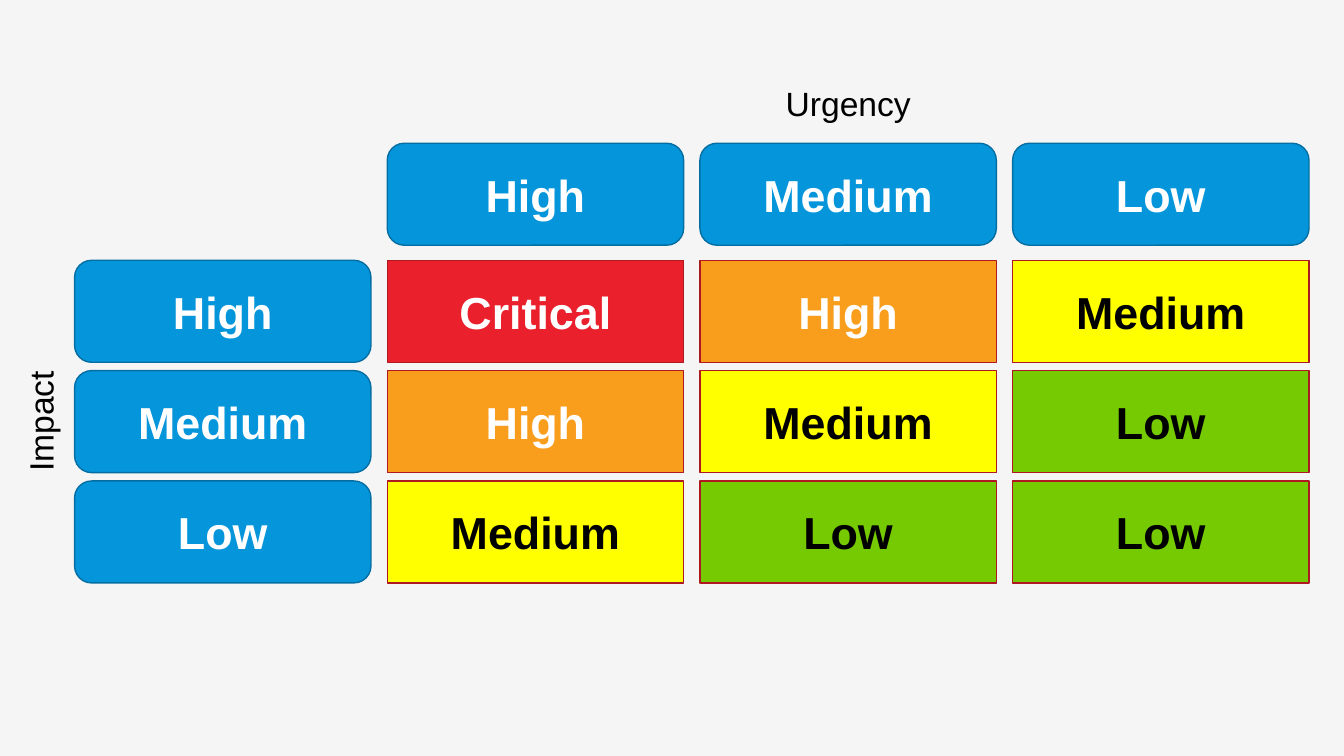
from pptx import Presentation
from pptx.dml.color import RGBColor
from pptx.enum.shapes import MSO_SHAPE
from pptx.enum.text import MSO_ANCHOR, PP_ALIGN
from pptx.util import Cm, Pt

COLORS = {
    "background": "F5F5F5",
    "header": "0595DB",
    "header_line": "046EA2",
    "cell_line": "AD1821",
    "white": "FFFFFF",
    "black": "000000",
}
# Priority: fill, text colour
PRIORITIES = {
    "Critical": ("EA202D", COLORS["white"]),
    "High": ("F99D1D", COLORS["white"]),
    "Medium": ("FFFF00", COLORS["black"]),
    "Low": ("76CA02", COLORS["black"]),
}
LEVELS = ["High", "Medium", "Low"]
MATRIX = [
    ["Critical", "High", "Medium"],
    ["High", "Medium", "Low"],
    ["Medium", "Low", "Low"],
]

# Grid, in cm
LEFT, COL_STEP = 1.88, 7.88
HEADER_TOP, ROWS_TOP, ROW_STEP = 3.61, 6.56, 2.78
BOX_W, BOX_H = 7.47, 2.57


class MatrixSlide:
    """Holds the slide and the style of the priority matrix."""

    font = "Arial"

    def __init__(self, prs):
        self.slide = prs.slides.add_slide(prs.slide_layouts[6])
        fill = self.slide.background.fill
        fill.solid()
        fill.fore_color.rgb = RGBColor.from_string(COLORS["background"])

    def set_text(self, sp, text, size, color, bold=False):
        tf = sp.text_frame
        tf.word_wrap = True
        p = tf.paragraphs[0]
        p.text = text
        p.alignment = PP_ALIGN.CENTER
        font = p.runs[0].font
        font.name, font.size, font.bold = self.font, Pt(size), bold
        font.color.rgb = RGBColor.from_string(color)

    def box(self, kind, col, top, text, fill, line, color):
        sp = self.slide.shapes.add_shape(
            kind, Cm(LEFT + col * COL_STEP), Cm(top), Cm(BOX_W), Cm(BOX_H))
        sp.shadow.inherit = False
        sp.fill.solid()
        sp.fill.fore_color.rgb = RGBColor.from_string(fill)
        sp.line.color.rgb = RGBColor.from_string(line)
        sp.line.width = Pt(1)
        sp.text_frame.vertical_anchor = MSO_ANCHOR.MIDDLE
        self.set_text(sp, text, 32, color, bold=True)

    def header(self, col, top, text):
        self.box(MSO_SHAPE.ROUNDED_RECTANGLE, col, top, text,
                 COLORS["header"], COLORS["header_line"], COLORS["white"])

    def cell(self, col, top, priority):
        fill, color = PRIORITIES[priority]
        self.box(MSO_SHAPE.RECTANGLE, col, top, priority,
                 fill, COLORS["cell_line"], color)

    def axis_label(self, left, top, width, text, rotation=0):
        sp = self.slide.shapes.add_textbox(Cm(left), Cm(top), Cm(width), Cm(1.27))
        sp.rotation = rotation
        self.set_text(sp, text, 24, COLORS["black"])


def main():
    prs = Presentation()
    prs.slide_width, prs.slide_height = Cm(33.87), Cm(19.05)
    s = MatrixSlide(prs)

    # Urgency headers
    for col, level in enumerate(LEVELS, start=1):
        s.header(col, HEADER_TOP, level)

    # Impact headers and priorities
    for row, (level, priorities) in enumerate(zip(LEVELS, MATRIX)):
        top = ROWS_TOP + row * ROW_STEP
        s.header(0, top, level)
        for col, priority in enumerate(priorities, start=1):
            s.cell(col, top, priority)

    # Axis labels
    s.axis_label(LEFT + 2 * COL_STEP, 1.96, BOX_W, "Urgency")
    s.axis_label(-3.05, 9.98, 8.13, "Impact", rotation=270)

    prs.save("out.pptx")


if __name__ == "__main__":
    main()
